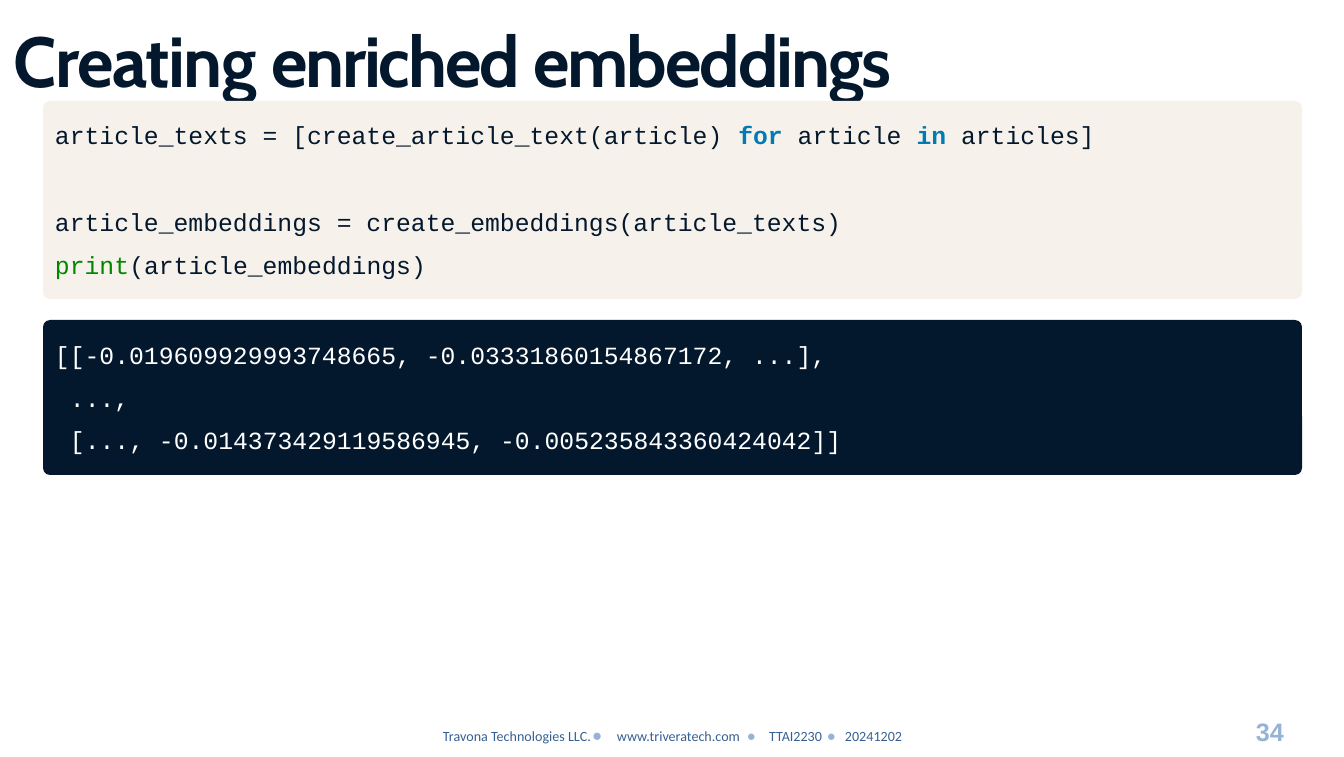
from pptx import Presentation
from pptx.dml.color import RGBColor
from pptx.enum.shapes import MSO_SHAPE
from pptx.enum.text import MSO_ANCHOR, PP_ALIGN
from pptx.oxml import parse_xml
from pptx.oxml.ns import nsdecls
from pptx.util import Pt

NAVY, CREAM, WHITE = "04182D", "F6F2EB", "FFFFFF"
KEYWORD, BUILTIN = "007BB5", "008600"
FOOTER, ACCENT = "376092", "95B3D7"
RADIUS = 7
CODE_SIZE = 22.5

TITLE = [("Creating ", -140), ("enriched ", -200), ("embeddings", -180)]
PANELS = [((43, 101, 1259, 198), CREAM), ((43, 320, 1259, 155), NAVY)]

CODE = [
    (0, 0, [("article_texts = [create_article_text(article) ", NAVY), ("for", KEYWORD),
            (" article ", NAVY), ("in", KEYWORD), (" articles]", NAVY)]),
    (52.5, 0, [("article_embeddings = create_embeddings(article_texts)", NAVY)]),
    (11.7, 0, [("print", BUILTIN), ("(article_embeddings)", NAVY)]),
]
OUTPUT = [
    (0, 0, [("[[-0.019609929993748665, -0.03331860154867172, ...],", WHITE)]),
    (11.7, 15, [("...,", WHITE)]),
    (11.7, 15, [("[..., -0.014373429119586945, -0.005235843360424042]]", WHITE)]),
]
LISTINGS = [((55, 120, 1050, 160), CODE), ((55, 340, 1050, 130), OUTPUT)]

FOOTER_LEFT = 443
FOOTER_ITEMS = [
    (443, "Travona Technologies LLC.", 12.8), (592, "●", 15.3),
    (617, "www.triveratech.com", 12.8), (747, "●", 13.6),
    (769, "TTAI2230", 12.8), (827, "●", 13.6), (845, "20241202", 12.8),
]


def px(n):
    return round(n * 914400 / 79)


def rgb(color):
    return RGBColor.from_string(color)


def set_font(font, name, size, color=None, bold=False):
    font.name, font.size, font.bold = name, Pt(size), bold
    if color:
        font.color.rgb = rgb(color)


def add_text(slide, box, wrap=True):
    tf = slide.shapes.add_textbox(*map(px, box)).text_frame
    tf.word_wrap = wrap
    tf.margin_left = tf.margin_top = tf.margin_right = tf.margin_bottom = 0
    return tf


def add_run(p, text):
    r = p.add_run()
    r.text = text
    return r


def add_panel(slide, box, color):
    sp = slide.shapes.add_shape(MSO_SHAPE.ROUNDED_RECTANGLE, *map(px, box))
    sp.adjustments[0] = RADIUS / box[3]
    sp.shadow.inherit = False
    sp.fill.solid()
    sp.fill.fore_color.rgb = rgb(color)
    sp.line.fill.background()


def add_listing(slide, box, lines):
    tf = add_text(slide, box)
    for i, (before, indent, parts) in enumerate(lines):
        p = tf.add_paragraph() if i else tf.paragraphs[0]
        if before:
            p.space_before = Pt(before)
        if indent:
            p._p.get_or_add_pPr().set("marL", str(px(indent)))
        set_font(p.font, "Courier New", CODE_SIZE)
        for text, color in parts:
            r = add_run(p, text)
            r.font.color.rgb = rgb(color)
            if color == KEYWORD:
                r.font.bold = True


def add_footer(slide):
    p = add_text(slide, (FOOTER_LEFT, 725, 480, 24), wrap=False).paragraphs[0]
    stops = "".join(f'<a:tab pos="{px(x - FOOTER_LEFT)}" algn="l"/>' for x, _, _ in FOOTER_ITEMS[1:])
    p._p.get_or_add_pPr().append(parse_xml(f'<a:tabLst {nsdecls("a")}>{stops}</a:tabLst>'))
    for i, (_, text, size) in enumerate(FOOTER_ITEMS):
        r = add_run(p, "\t" + text if i else text)
        if text == "●":
            set_font(r.font, "Arial", size, ACCENT, True)
        else:
            set_font(r.font, "Calibri", size, FOOTER)


def add_page_number(slide):
    tf = add_text(slide, (1184, 711, 100, 40))
    tf.vertical_anchor = MSO_ANCHOR.MIDDLE
    p = tf.paragraphs[0]
    p.alignment = PP_ALIGN.RIGHT
    set_font(p.font, "Arial", 23, ACCENT, True)
    add_run(p, "34")


def add_title(slide):
    p = add_text(slide, (14, 17, 1126, 86)).paragraphs[0]
    set_font(p.font, "Cabin", 64.5, NAVY, True)
    for text, spacing in TITLE:
        add_run(p, text)._r.get_or_add_rPr().set("spc", str(spacing))


def main():
    prs = Presentation()
    prs.slide_width, prs.slide_height = px(1344), px(757)
    slide = prs.slides.add_slide(prs.slide_layouts[6])
    add_page_number(slide)
    add_footer(slide)
    add_title(slide)
    for box, color in PANELS:
        add_panel(slide, box, color)
    for box, lines in LISTINGS:
        add_listing(slide, box, lines)
    prs.save("out.pptx")


if __name__ == "__main__":
    main()
